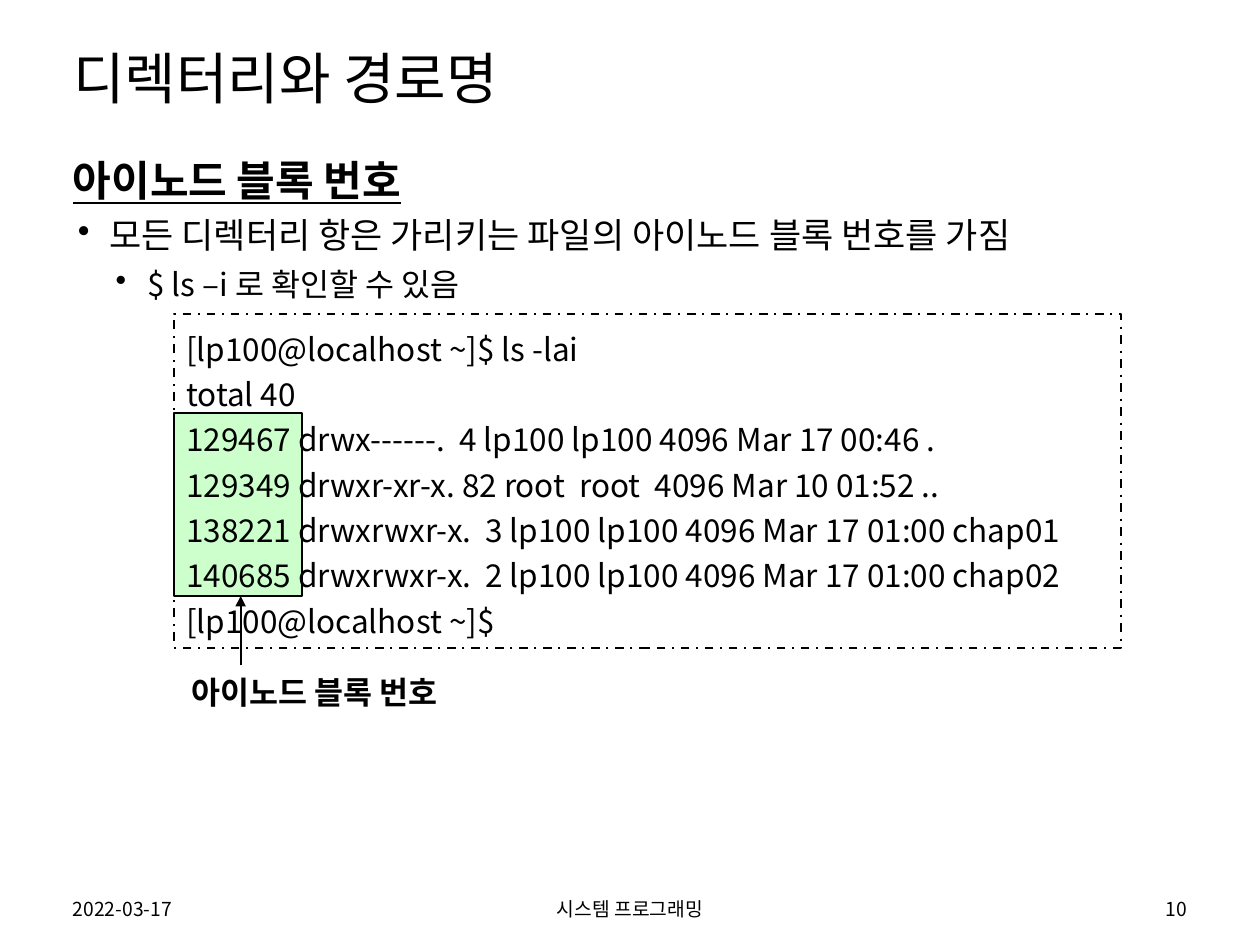
from dataclasses import dataclass

from lxml.etree import SubElement
from pptx import Presentation
from pptx.dml.color import RGBColor
from pptx.enum.dml import MSO_LINE
from pptx.enum.shapes import MSO_CONNECTOR, MSO_SHAPE
from pptx.enum.text import MSO_ANCHOR as Anchor, MSO_AUTO_SIZE as AutoSize, PP_ALIGN as Align
from pptx.oxml.ns import qn
from pptx.util import Inches, Pt


def color(value):
    """Turn a hex string into a colour."""
    return RGBColor.from_string(value)


@dataclass
class SlideBuilder:
    """Hold the style and the current slide, and add elements to it."""
    slide: object
    font: str = "Noto Sans CJK KR"
    ink: str = "000000"
    line_width: float = 1.25

    def run(self, paragraph, text, size, bold=False, underline=False):
        """Add one styled run to a paragraph."""
        run = paragraph.add_run()
        run.text = text
        font = run.font
        font.name, font.size = self.font, Pt(size)
        font.bold, font.underline = bold, underline
        font.color.rgb = color(self.ink)
        SubElement(font._element, qn("a:ea")).set("typeface", self.font)

    def frame(self, shape, anchor=Anchor.TOP, wrap=True):
        """Set up the text frame of a shape."""
        frame = shape.text_frame
        frame.word_wrap = wrap
        frame.auto_size = AutoSize.NONE if wrap else AutoSize.SHAPE_TO_FIT_TEXT
        frame.vertical_anchor = anchor
        return frame

    def title(self, text, left, top, width, height):
        """Place and fill the title placeholder."""
        title = self.slide.shapes.title
        title.left, title.top = Inches(left), Inches(top)
        title.width, title.height = Inches(width), Inches(height)
        paragraph = self.frame(title, Anchor.MIDDLE).paragraphs[0]
        paragraph.alignment = Align.LEFT
        paragraph.line_spacing = 0.9
        self.run(paragraph, text, 32)

    def text(self, text, left, top, width, height, size, bold=False,
             align=Align.LEFT, anchor=Anchor.TOP, wrap=True):
        """Add a text box with one paragraph."""
        box = self.slide.shapes.add_textbox(
            Inches(left), Inches(top), Inches(width), Inches(height))
        paragraph = self.frame(box, anchor, wrap).paragraphs[0]
        paragraph.alignment = align
        self.run(paragraph, text, size, bold)
        return box

    def bullet(self, box, text, level, size, margin):
        """Add a bulleted paragraph to a text box."""
        paragraph = box.text_frame.add_paragraph()
        paragraph.level = level
        paragraph.space_before = Pt(5)
        properties = paragraph._p.get_or_add_pPr()
        properties.set("marL", str(Inches(margin)))
        properties.set("indent", str(Inches(-0.25)))
        SubElement(properties, qn("a:buChar")).set("char", "•")
        self.run(paragraph, text, size)

    def rectangle(self, left, top, width, height, fill=None, dash=None):
        """Add an outlined rectangle."""
        shape = self.slide.shapes.add_shape(
            MSO_SHAPE.RECTANGLE, Inches(left), Inches(top), Inches(width), Inches(height))
        shape.shadow.inherit = False
        if fill:
            shape.fill.solid()
            shape.fill.fore_color.rgb = color(fill)
        else:
            shape.fill.background()
        shape.line.color.rgb = color(self.ink)
        shape.line.width = Pt(self.line_width)
        if dash:
            shape.line.dash_style = dash
        return shape

    def console(self, lines, left, top, width, height):
        """Add a dashed box with terminal output."""
        shape = self.rectangle(left, top, width, height, dash=MSO_LINE.DASH_DOT)
        frame = self.frame(shape, Anchor.MIDDLE)
        for index, line in enumerate(lines):
            paragraph = frame.add_paragraph() if index else frame.paragraphs[0]
            paragraph.alignment = Align.LEFT
            paragraph.line_spacing = 1.2
            self.run(paragraph, line, 18)

    def arrow(self, x1, y1, x2, y2):
        """Add a line with an arrowhead at its end."""
        connector = self.slide.shapes.add_connector(
            MSO_CONNECTOR.STRAIGHT, Inches(x1), Inches(y1), Inches(x2), Inches(y2))
        connector.line.color.rgb = color(self.ink)
        connector.line.width = Pt(self.line_width)
        SubElement(connector.line._get_or_add_ln(), qn("a:tailEnd")).set("type", "triangle")
        SubElement(connector._element.spPr, qn("a:effectLst"))


def main():
    """Build and save the slide."""
    presentation = Presentation()
    presentation.slide_width, presentation.slide_height = Inches(10), Inches(7.5)
    slide = presentation.slides.add_slide(presentation.slide_layouts[5])
    builder = SlideBuilder(slide)

    builder.rectangle(1.38, 3.28, 1.02, 1.45, fill="CCFFCC")
    builder.text("아이노드 블록 번호", 1.42, 5.29, 2.32, 0.4, 18, bold=True, wrap=False)
    builder.arrow(1.91, 5.28, 1.91, 4.73)

    builder.title("디렉터리와 경로명", 0.48, 0.23, 9.06, 0.83)
    body = builder.text("아이노드 블록 번호", 0.48, 1.18, 9.06, 5.76, 24, bold=True)
    heading = body.text_frame.paragraphs[0]
    heading.space_before = Pt(10)
    heading.runs[0].font.underline = True
    builder.bullet(body, "모든 디렉터리 항은 가리키는 파일의 아이노드 블록 번호를 가짐", 1, 20, 0.29)
    builder.bullet(body, "$ ls –i 로 확인할 수 있음", 2, 18, 0.59)

    for text, left, width, align in (
        ("2022-03-17", 0.48, 2.25, Align.LEFT),
        ("시스템 프로그래밍", 3.31, 3.38, Align.CENTER),
        ("10", 7.27, 2.25, Align.RIGHT),
    ):
        builder.text(text, left, 7.07, width, 0.28, 11, align=align, anchor=Anchor.MIDDLE)

    builder.console((
        "[lp100@localhost ~]$ ls -lai",
        "total 40",
        "129467 drwx------.  4 lp100 lp100 4096 Mar 17 00:46 .",
        "129349 drwxr-xr-x. 82 root  root  4096 Mar 10 01:52 ..",
        "138221 drwxrwxr-x.  3 lp100 lp100 4096 Mar 17 01:00 chap01",
        "140685 drwxrwxr-x.  2 lp100 lp100 4096 Mar 17 01:00 chap02",
        "[lp100@localhost ~]$",
    ), 1.38, 2.49, 7.52, 2.65)

    presentation.save("out.pptx")


if __name__ == "__main__":
    main()
